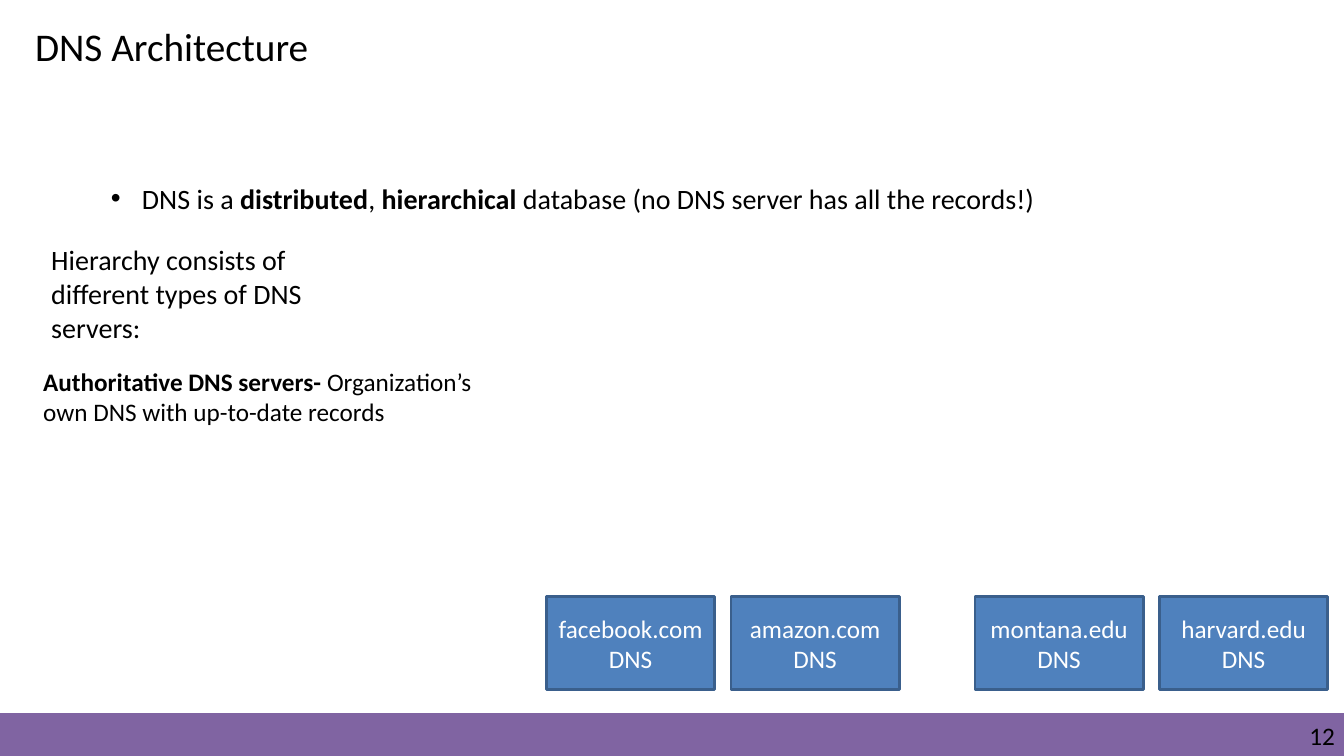
from dataclasses import dataclass

from lxml import etree
from pptx import Presentation
from pptx.dml.color import RGBColor
from pptx.enum.shapes import MSO_SHAPE as Shape
from pptx.enum.text import MSO_ANCHOR as Anchor, PP_ALIGN as Align
from pptx.oxml.ns import qn
from pptx.util import Inches, Pt


@dataclass(frozen=True)
class Theme:
    font: str = "Calibri"
    text: str = "000000"
    server_text: str = "FFFFFF"
    server_fill: str = "4F81BD"
    server_line: str = "3A5F8C"
    footer: str = "8064A2"
    title_size: int = 28
    body_size: int = 20
    small_size: int = 18


THEME = Theme()
SLIDE_WIDTH, SLIDE_HEIGHT = 13.33, 7.5
FOOTER_TOP = 7.08
SERVER_TOP, SERVER_WIDTH, SERVER_HEIGHT = 5.92, 1.67, 0.92
SERVER_STEP = 1.83
SERVER_GROUPS = [
    (5.42, ["facebook.com", "amazon.com"]),
    (9.67, ["montana.edu", "harvard.edu"]),
]


def set_bullet(paragraph, indent):
    """Give the paragraph a round bullet with a hanging indent."""
    properties = paragraph._p.get_or_add_pPr()
    properties.set("marL", str(Inches(indent)))
    properties.set("indent", str(Inches(-indent)))
    etree.SubElement(properties, qn("a:buFont"), typeface="Arial")
    etree.SubElement(properties, qn("a:buChar"), char="•")


def write_text(shape, *runs, size, color=THEME.text, align=Align.LEFT,
               anchor=Anchor.TOP, bullet_indent=None):
    """Write one paragraph; each run is a string or a (string, bold) pair."""
    frame = shape.text_frame
    frame.word_wrap = True
    frame.vertical_anchor = anchor
    paragraph = frame.paragraphs[0]
    paragraph.alignment = align
    if bullet_indent:
        set_bullet(paragraph, bullet_indent)
    for item in runs:
        text, bold = (item, False) if isinstance(item, str) else item
        run = paragraph.add_run()
        run.text = text
        run.font.name = THEME.font
        run.font.size = Pt(size)
        run.font.bold = bold
        run.font.color.rgb = RGBColor.from_string(color)


def add_text(slide, left, top, width, height, *runs, **text_format):
    box = slide.shapes.add_textbox(*map(Inches, (left, top, width, height)))
    write_text(box, *runs, **text_format)
    return box


def add_rectangle(slide, left, top, width, height, fill, line, line_width):
    shape = slide.shapes.add_shape(
        Shape.RECTANGLE, *map(Inches, (left, top, width, height)))
    shape.shadow.inherit = False
    shape.fill.solid()
    shape.fill.fore_color.rgb = RGBColor.from_string(fill)
    shape.line.color.rgb = RGBColor.from_string(line)
    shape.line.width = Pt(line_width)
    return shape


def add_footer(slide, number):
    add_rectangle(slide, 0, FOOTER_TOP, SLIDE_WIDTH, SLIDE_HEIGHT - FOOTER_TOP,
                  THEME.footer, THEME.footer, 1)
    box = add_text(slide, 10.17, 7.15, 3.07, 0.3, number,
                   size=THEME.small_size, align=Align.RIGHT)
    frame = box.text_frame
    frame.margin_left = frame.margin_right = 0
    frame.margin_top = frame.margin_bottom = 0


def add_server(slide, left, domain):
    server = add_rectangle(slide, left, SERVER_TOP, SERVER_WIDTH, SERVER_HEIGHT,
                           THEME.server_fill, THEME.server_line, 2)
    write_text(server, f"{domain} DNS", size=THEME.small_size,
               color=THEME.server_text, align=Align.CENTER, anchor=Anchor.MIDDLE)


def main():
    presentation = Presentation()
    presentation.slide_width = Inches(SLIDE_WIDTH)
    presentation.slide_height = Inches(SLIDE_HEIGHT)
    slide = presentation.slides.add_slide(presentation.slide_layouts[6])

    # Footer band and title
    add_footer(slide, "12")
    add_text(slide, 0.25, 0.17, 3.24, 0.57, "DNS Architecture",
             size=THEME.title_size)

    # Explanations
    add_text(slide, 1, 1.75, 10.58, 0.44,
             "DNS is a ", ("distributed", True), ", ", ("hierarchical", True),
             " database (no DNS server has all the records!)",
             size=THEME.body_size, bullet_indent=0.31)
    add_text(slide, 0.41, 2.36, 2.92, 1.11,
             "Hierarchy consists of different types of DNS servers:",
             size=THEME.body_size)

    # Authoritative servers, grouped by top-level domain
    for group_left, domains in SERVER_GROUPS:
        for index, domain in enumerate(domains):
            add_server(slide, group_left + index * SERVER_STEP, domain)
    add_text(slide, 0.33, 3.58, 4.58, 1.01,
             ("Authoritative DNS servers- ", True),
             "Organization’s own DNS with up-to-date records",
             size=THEME.small_size)

    presentation.save("out.pptx")


if __name__ == "__main__":
    main()
